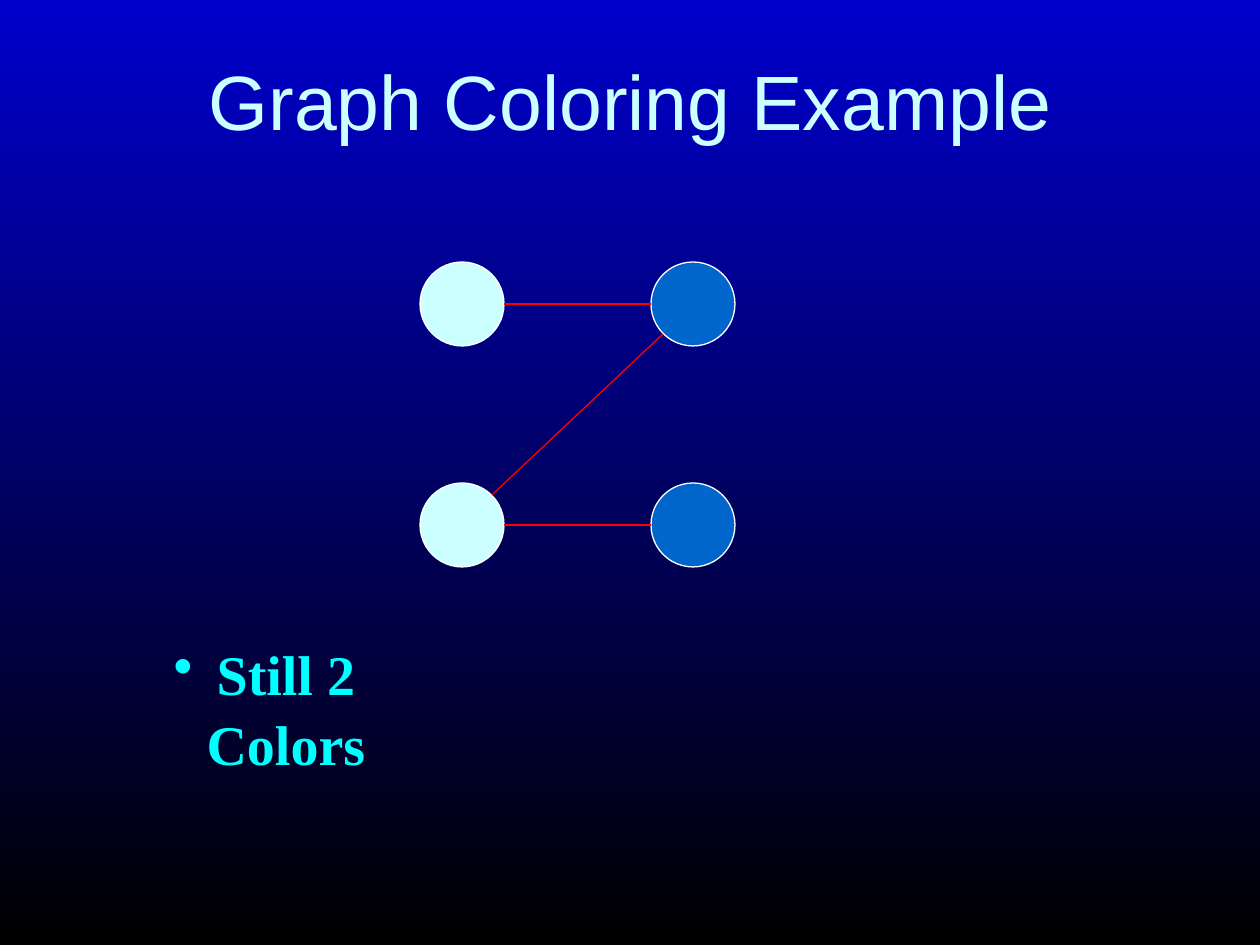
from typing import NamedTuple

from lxml.etree import SubElement
from pptx import Presentation
from pptx.dml.color import RGBColor
from pptx.enum.shapes import MSO_CONNECTOR, MSO_SHAPE
from pptx.enum.text import MSO_ANCHOR, PP_ALIGN
from pptx.oxml.ns import qn
from pptx.slide import Slide
from pptx.text.text import TextFrame
from pptx.util import Emu, Pt

ROYAL = RGBColor(0x00, 0x00, 0xCC)
BLACK = RGBColor(0x00, 0x00, 0x00)
PALE = RGBColor(0xCC, 0xFF, 0xFF)
BLUE = RGBColor(0x00, 0x66, 0xCC)
WHITE = RGBColor(0xFF, 0xFF, 0xFF)
RED = RGBColor(0xFF, 0x00, 0x00)
CYAN = RGBColor(0x00, 0xFF, 0xFF)

SCALE = 914400 // 126
SIZE = 84
THIN = Pt(0.75)
HANG = 43


class Node(NamedTuple):
    left: int
    top: int
    fill: RGBColor


class Edge(NamedTuple):
    x1: int
    y1: int
    x2: int
    y2: int


class Label(NamedTuple):
    left: int
    top: int
    width: int
    height: int
    text: str
    font: str
    size: int
    color: RGBColor
    bold: bool = False


NODES = [
    Node(left, top, fill)
    for top in (262, 483)
    for left, fill in ((420, PALE), (651, BLUE))
]
EDGES = [
    Edge(504, 304, 651, 304),
    Edge(492, 495, 663, 334),
    Edge(504, 525, 651, 525),
]
TITLE = Label(53, 21, 1155, 158, "Graph Coloring Example", "Arial", 44, PALE)
NOTE = Label(
    154, 667, 221, 79, "Still 2 Colors", "Times New Roman", 32, CYAN, True
)


def px(count: int) -> Emu:
    return Emu(count * SCALE)


def paint(slide: Slide) -> None:
    fill = slide.background.fill
    fill.gradient()
    fill.gradient_angle = 270
    for stop, color in zip(fill.gradient_stops, (ROYAL, BLACK)):
        stop.color.rgb = color


def draw_node(slide: Slide, node: Node) -> None:
    shape = slide.shapes.add_shape(
        MSO_SHAPE.OVAL, px(node.left), px(node.top), px(SIZE), px(SIZE)
    )
    shape.shadow.inherit = False
    shape.fill.solid()
    shape.fill.fore_color.rgb = node.fill
    shape.line.color.rgb = WHITE
    shape.line.width = THIN


def draw_edge(slide: Slide, edge: Edge) -> None:
    line = slide.shapes.add_connector(
        MSO_CONNECTOR.STRAIGHT, *(px(value) for value in edge)
    )
    line.line.color.rgb = RED
    line.line.width = THIN
    SubElement(line._element.spPr, qn("a:effectLst"))


def draw_label(slide: Slide, label: Label) -> TextFrame:
    box = slide.shapes.add_textbox(*(px(value) for value in label[:4]))
    frame = box.text_frame
    frame.word_wrap = True
    frame.vertical_anchor = MSO_ANCHOR.MIDDLE
    frame.margin_left = frame.margin_right = 0
    frame.margin_top = frame.margin_bottom = 0
    para = frame.paragraphs[0]
    para.text = label.text
    para.alignment = PP_ALIGN.CENTER
    para.font.name = label.font
    para.font.size = Pt(label.size)
    para.font.bold = label.bold
    para.font.color.rgb = label.color
    return frame


def add_bullet(frame: TextFrame) -> None:
    para = frame.paragraphs[0]
    para.line_spacing = 1.05
    props = para._p.get_or_add_pPr()
    props.set("marL", str(px(HANG)))
    props.set("indent", str(-px(HANG)))
    mark = SubElement(props, qn("a:buChar"), char="•")
    props.find(qn("a:defRPr")).addprevious(mark)


def main() -> None:
    deck = Presentation()
    deck.slide_width = px(1260)
    deck.slide_height = px(945)
    slide = deck.slides.add_slide(deck.slide_layouts[6])
    paint(slide)
    draw_label(slide, TITLE)
    for node in NODES:
        draw_node(slide, node)
    for edge in EDGES:
        draw_edge(slide, edge)
    add_bullet(draw_label(slide, NOTE))
    deck.save("out.pptx")


if __name__ == "__main__":
    main()
